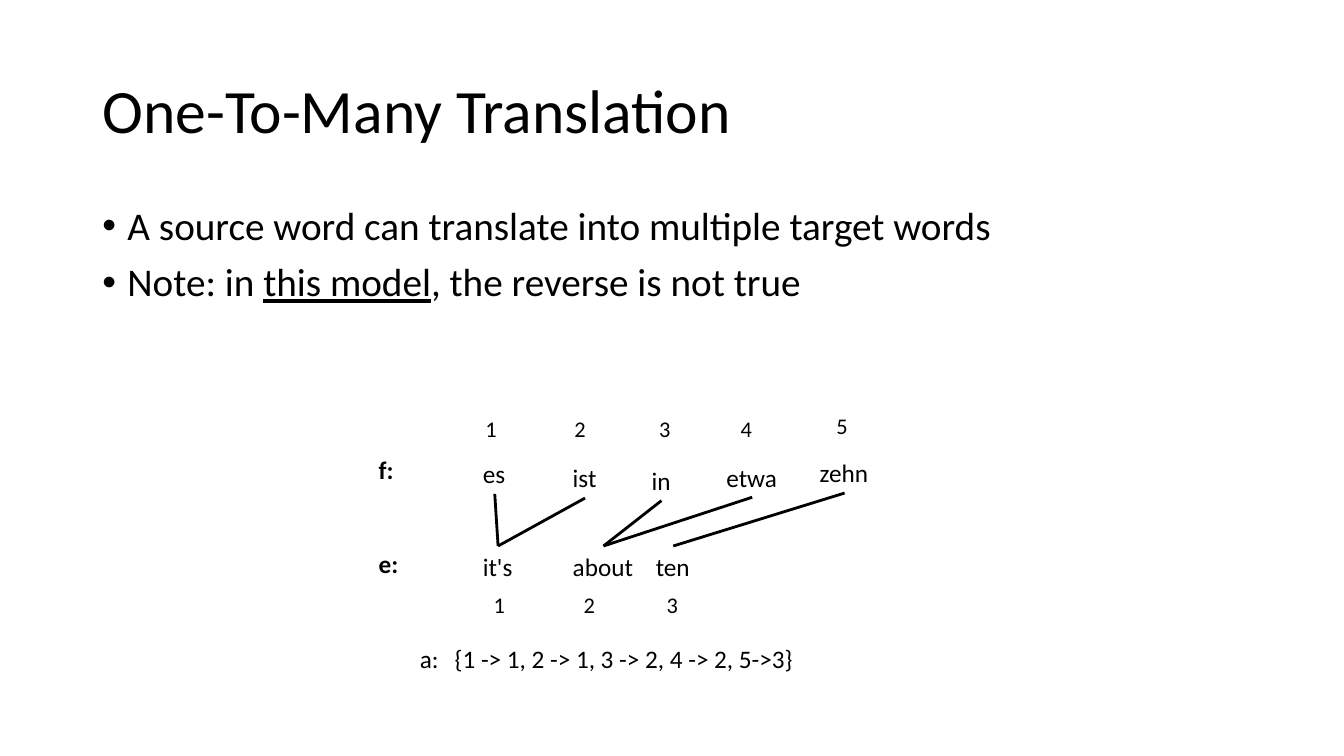
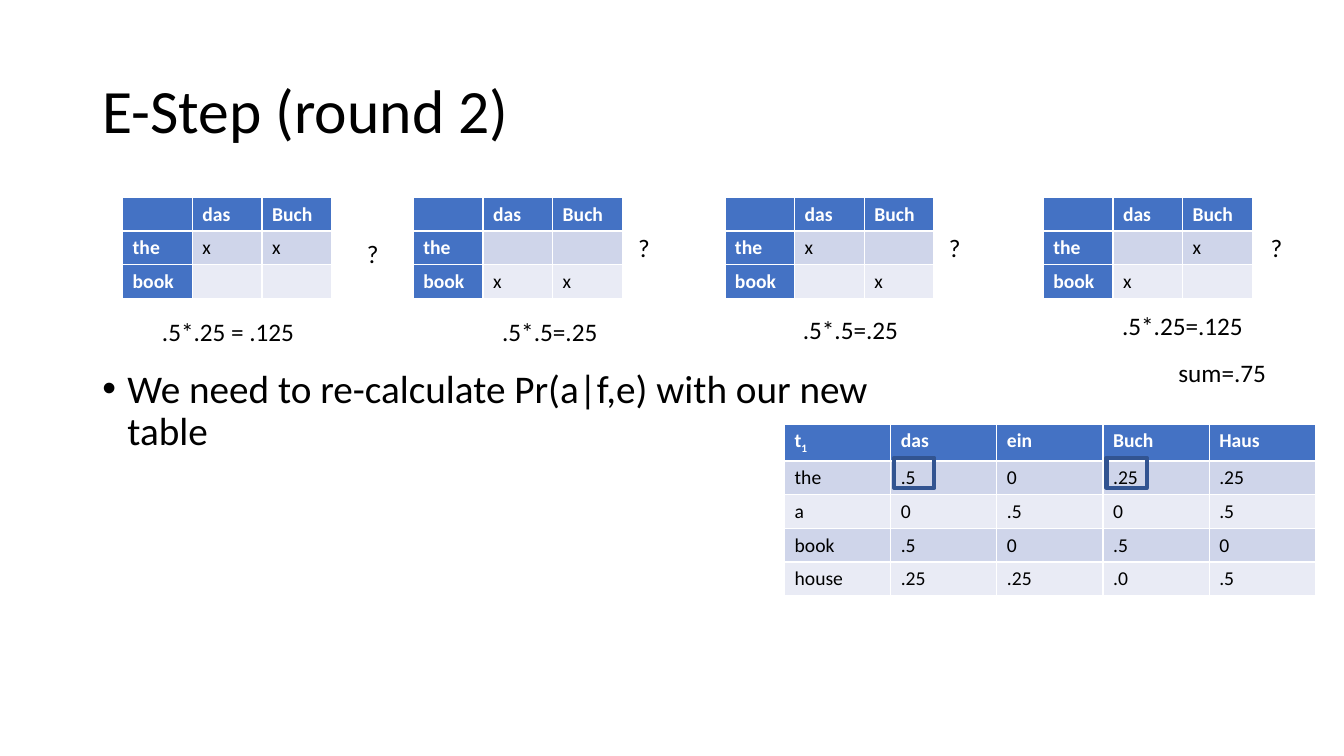
from dataclasses import dataclass

import lxml.etree
import pptx
import pptx.dml.color
import pptx.enum.shapes
import pptx.enum.text
import pptx.oxml.ns
import pptx.util

# The slide is a grid of 160 columns by 90 rows of square units.
COLUMNS, ROWS = 160, 90
UNIT = pptx.util.Inches(1) // 12


@dataclass(frozen=True)
class Theme:
    font: str = "Calibri"
    text: str = "000000"
    inverse: str = "FFFFFF"
    header: str = "4472C4"
    bands: tuple = ("CFD5EA", "E9EBF5")
    frame: str = "325491"
    title_size: int = 44
    bullet_size: int = 28
    label_size: int = 18
    index_size: int = 16
    table_size: int = 14


THEME = Theme()


def units(*values):
    return [round(value * UNIT) for value in values]


def color(value):
    return pptx.dml.color.RGBColor.from_string(value)


def add_property(parent, tag, **attributes):
    return lxml.etree.SubElement(parent, pptx.oxml.ns.qn(tag), attributes)


def style_paragraph(paragraph, size, value=THEME.text, bold=False):
    font = paragraph.font
    font.name = THEME.font
    font.size = pptx.util.Pt(size)
    font.bold = bold
    font.color.rgb = color(value)


def fill_paragraph(paragraph, content):
    """Accept plain text or a list of (text, style) pairs."""
    pairs = [(content, None)] if isinstance(content, str) else content
    for text, style in pairs:
        run = paragraph.add_run()
        run.text = text
        if style == "underline":
            run.font.underline = True
        elif style == "subscript":
            run._r.get_or_add_rPr().set("baseline", "-25000")


def add_titled_slide(presentation, text):
    slide = presentation.slides.add_slide(presentation.slide_layouts[5])
    title = slide.shapes.title
    title.left, title.top, title.width, title.height = units(11, 4.8, 138, 17.4)
    title.text_frame.text = text
    title.text_frame.vertical_anchor = pptx.enum.text.MSO_ANCHOR.MIDDLE
    paragraph = title.text_frame.paragraphs[0]
    paragraph.alignment = pptx.enum.text.PP_ALIGN.LEFT
    paragraph.line_spacing = 0.9
    style_paragraph(paragraph, THEME.title_size)
    return slide


def add_bullets(slide, left, top, width, height, items):
    box = slide.shapes.add_textbox(*units(left, top, width, height))
    frame = box.text_frame
    frame.word_wrap = True
    for number, item in enumerate(items):
        paragraph = frame.add_paragraph() if number else frame.paragraphs[0]
        paragraph.line_spacing = 0.9
        paragraph.space_before = pptx.util.Pt(10)
        properties = paragraph._p.get_or_add_pPr()
        indent = pptx.util.Inches(0.25)
        properties.set("marL", str(indent))
        properties.set("indent", str(-indent))
        add_property(properties, "a:buFont", typeface="Arial")
        add_property(properties, "a:buChar", char="•")
        style_paragraph(paragraph, THEME.bullet_size)
        fill_paragraph(paragraph, item)


def add_label(slide, text, left, top, width, size=THEME.label_size,
              bold=False, tab=None):
    height = 4.8 if size == THEME.label_size else 4.4
    box = slide.shapes.add_textbox(*units(left, top, width, height))
    frame = box.text_frame
    frame.word_wrap = False
    frame.auto_size = pptx.enum.text.MSO_AUTO_SIZE.SHAPE_TO_FIT_TEXT
    paragraph = frame.paragraphs[0]
    if tab:
        tabs = add_property(paragraph._p.get_or_add_pPr(), "a:tabLst")
        add_property(tabs, "a:tab", pos=str(round(tab * UNIT)), algn="l")
    style_paragraph(paragraph, size, bold=bold)
    fill_paragraph(paragraph, text)
    return box


def add_words(slide, words):
    return [add_label(slide, *word) for word in words]


def add_indices(slide, positions):
    for number, (left, top) in enumerate(positions, start=1):
        add_label(slide, str(number), left, top, 3.8, THEME.index_size)


def add_alignment(slide, source, target):
    line = slide.shapes.add_connector(
        pptx.enum.shapes.MSO_CONNECTOR.STRAIGHT, 0, 0, 0, 0)
    line.begin_connect(source, 2)
    line.end_connect(target, 0)
    line.line.color.rgb = color(THEME.text)
    line.line.width = pptx.util.Pt(2)
    add_property(line._element.spPr, "a:effectLst")


def add_grid_table(slide, left, top, width, height, rows, header_column=False):
    table = slide.shapes.add_table(
        len(rows), len(rows[0]), *units(left, top, width, height)).table
    table.first_col = header_column
    for row, contents in enumerate(rows):
        for column, content in enumerate(contents):
            heading = row == 0 or (header_column and column == 0)
            cell = table.cell(row, column)
            cell.fill.solid()
            cell.fill.fore_color.rgb = color(
                THEME.header if heading else THEME.bands[(row - 1) % 2])
            paragraph = cell.text_frame.paragraphs[0]
            style_paragraph(paragraph, THEME.table_size,
                            THEME.inverse if heading else THEME.text, heading)
            if content:
                fill_paragraph(paragraph, content)
            else:
                # Keep empty cells from growing their row
                add_property(paragraph._p, "a:endParaRPr",
                             sz=str(THEME.table_size * 100))


def add_frame(slide, left, top, width, height):
    frame = slide.shapes.add_shape(
        pptx.enum.shapes.MSO_SHAPE.RECTANGLE, *units(left, top, width, height))
    frame.shadow.inherit = False
    frame.fill.background()
    frame.line.color.rgb = color(THEME.frame)
    frame.line.width = pptx.util.Pt(3)


def build_translation_slide(presentation):
    slide = add_titled_slide(presentation, "One-To-Many Translation")
    add_bullets(slide, 11, 24, 138, 19.3, [
        "A source word can translate into multiple target words",
        [("Note: in ", None), ("this model", "underline"),
         (", the reverse is not true", None)],
    ])

    # Words of both sentences with their positions
    add_label(slide, "f:", 43.9, 53.5, 4.2, bold=True)
    add_label(slide, "e:", 43.9, 64.7, 4.8, bold=True)
    foreign = add_words(slide, [
        ("es", 56.3, 54, 5.2), ("ist", 67, 54.5, 5.3), ("in", 76.4, 54.8, 4.7),
        ("etwa", 85.3, 54.4, 8.5), ("zehn", 96.4, 53.9, 8.3)])
    english = add_words(slide, [
        ("it's", 56.3, 65, 6), ("about", 67, 65, 9.7), ("ten", 76.9, 65, 6.5)])
    add_indices(slide, [(56.6, 48.8), (67.2, 48.8), (77.3, 48.8),
                        (87, 48.8), (98.4, 48.5)])
    add_indices(slide, [(57.6, 69.8), (68.3, 69.8), (78.2, 69.8)])

    # Alignment from each foreign word to its English word
    for source, target in zip(foreign, (0, 0, 1, 1, 2)):
        add_alignment(slide, source, english[target])
    add_label(slide, "a:\t{1 -> 1, 2 -> 1, 3 -> 2, 4 -> 2, 5->3}",
              48.8, 76, 47.6, tab=4.15)


def build_expectation_slide(presentation):
    slide = add_titled_slide(presentation, "E-Step (round 2)")
    add_bullets(slide, 11, 43.4, 98.2, 39.7,
                ["We need to re-calculate Pr(a|f,e) with our new table"])

    # Translation probabilities, with the two used values framed
    left, top, width = 93.4, 50.5, 63.2
    probabilities = [
        [[("t", None), ("1", "subscript")], "das", "ein", "Buch", "Haus"],
        ["the", ".5", "0", ".25", ".25"],
        ["a", "0", ".5", "0", ".5"],
        ["book", ".5", "0", ".5", "0"],
        ["house", ".25", ".25", ".0", ".5"],
    ]
    add_grid_table(slide, left, top, width, 20, probabilities)
    for column in (1, 3):
        cell_left = left + column * width / len(probabilities[0])
        add_frame(slide, cell_left + 0.4, top + 4, 4.8, 3.6)

    # Candidate alignments: table left, marks, question mark, product
    candidates = [
        (14.6, ("xx", "  "), (42.5, 27.8), (".5*.25 = .125", 18.1, 37.1, 18.4)),
        (49.2, ("  ", "xx"), (74.8, 27.1), (".5*.5=.25", 58.6, 37.1, 13.9)),
        (86.3, ("x ", " x"), (111.8, 27.1), (".5*.5=.25", 94.4, 36.8, 13.9)),
        (124.2, (" x", "x "), (150.1, 27.1), (".5*.25=.125", 132.4, 36.4, 16.9)),
    ]
    for table_left, marks, question, product in candidates:
        rows = [["", "das", "Buch"]]
        for word, row_marks in zip(("the", "book"), marks):
            rows.append([word, *(mark.strip() for mark in row_marks)])
        add_grid_table(slide, table_left, 23.5, 24.9, 12, rows,
                       header_column=True)
        add_label(slide, "?", *question, 3.8)
        add_label(slide, *product)
    add_label(slide, "sum=.75", 139.1, 41.9, 13)


def main():
    presentation = pptx.Presentation()
    presentation.slide_width, presentation.slide_height = units(COLUMNS, ROWS)
    build_translation_slide(presentation)
    build_expectation_slide(presentation)
    presentation.save("out.pptx")


if __name__ == "__main__":
    main()
